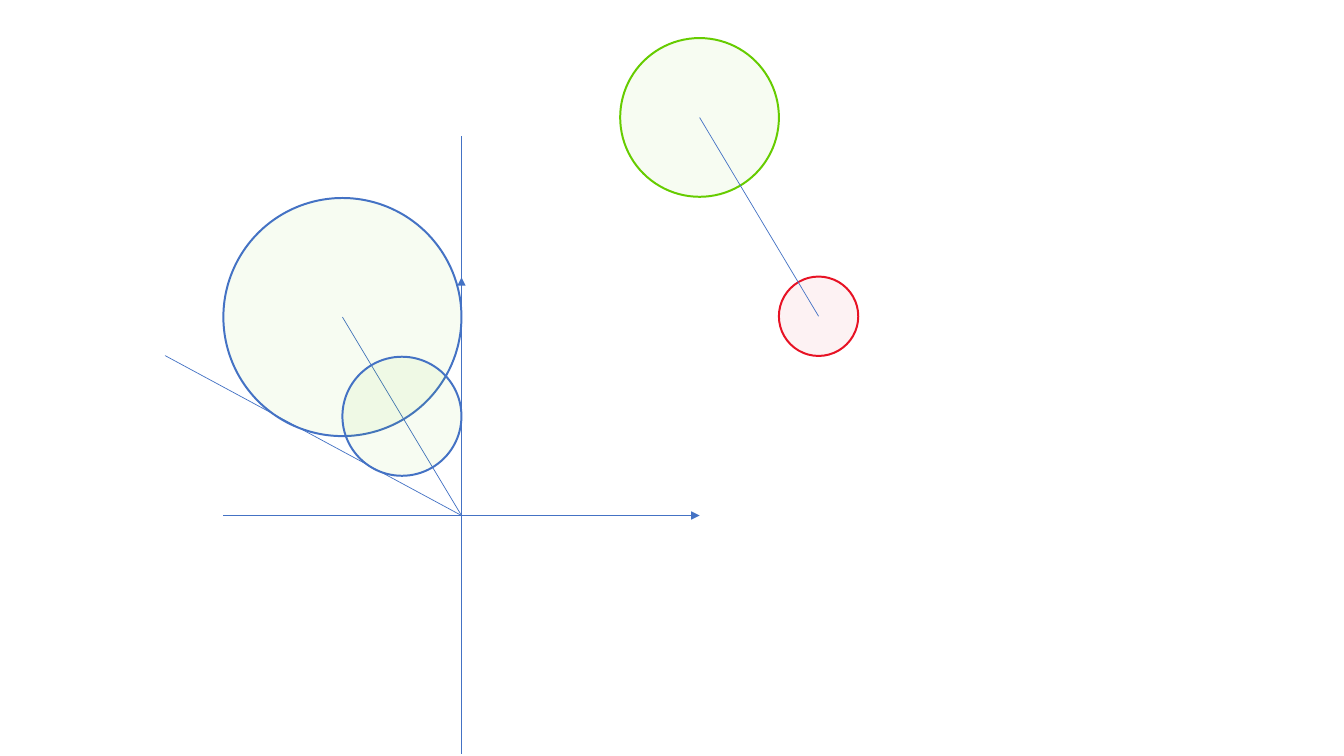
"""Draw two colliding discs and their tangent cone in velocity space."""
from dataclasses import dataclass

from pptx import Presentation
from pptx.dml.color import RGBColor
from pptx.enum.shapes import MSO_CONNECTOR, MSO_SHAPE
from pptx.oxml.ns import qn
from pptx.util import Cm, Pt
from lxml import etree

OVAL = MSO_SHAPE.OVAL
STRAIGHT = MSO_CONNECTOR.STRAIGHT


@dataclass(frozen=True)
class Theme:
    """Hold the colours and line widths."""
    green: str = "66CC00"
    red: str = "E71224"
    blue: str = "4472C4"
    rim: float = 1.42
    thin: float = 0.5
    alpha: int = 5


THEME = Theme()
ZERO = (11.63, 12.99)


def place(point):
    """Turn centimetres from the origin, y upward, into slide lengths."""
    return Cm(ZERO[0] + point[0]), Cm(ZERO[1] - point[1])


def add_disc(slide, centre, radius, fill, edge):
    """Add a pale disc around a centre."""
    x, y = place(centre)
    half = Cm(radius)
    disc = slide.shapes.add_shape(OVAL, x - half, y - half, 2 * half, 2 * half)
    disc.shadow.inherit = False
    disc.fill.solid()
    disc.fill.fore_color.rgb = RGBColor.from_string(fill)
    tint = disc._element.spPr.find(qn("a:solidFill"))[0]
    etree.SubElement(tint, qn("a:alpha")).set("val", str(THEME.alpha * 1000))
    disc.line.color.rgb = RGBColor.from_string(edge)
    disc.line.width = Pt(THEME.rim)


def add_line(slide, start, end, arrow=False):
    """Add a thin line, with an arrowhead at its end if asked."""
    line = slide.shapes.add_connector(STRAIGHT, *place(start), *place(end))
    line.line.color.rgb = RGBColor.from_string(THEME.blue)
    line.line.width = Pt(THEME.thin)
    if arrow:
        head = etree.SubElement(line.line._get_or_add_ln(), qn("a:tailEnd"))
        head.set("type", "triangle")
    etree.SubElement(line._element.spPr, qn("a:effectLst"))


def main():
    """Build and save the slide."""
    deck = Presentation()
    deck.slide_width, deck.slide_height = Cm(33.87), Cm(19.05)
    slide = deck.slides.add_slide(deck.slide_layouts[6])

    zero, green, red = (0, 0), (6, 10.03), (9, 5.02)
    large, small = (-3, 5), (-1.5, 2.5)
    reach = 6

    add_disc(slide, green, 2, THEME.green, THEME.green)
    add_disc(slide, red, 1, THEME.red, THEME.red)
    add_line(slide, red, green)

    add_line(slide, (-reach, 0), (reach, 0), arrow=True)
    add_line(slide, (0, -reach), (0, reach), arrow=True)
    add_line(slide, zero, large)

    add_disc(slide, large, 3, THEME.green, THEME.blue)
    add_disc(slide, small, 1.5, THEME.green, THEME.blue)
    for end in ((-7.47, 4.03), (0, 9.57)):
        add_line(slide, zero, end)

    deck.save("out.pptx")


if __name__ == "__main__":
    main()
